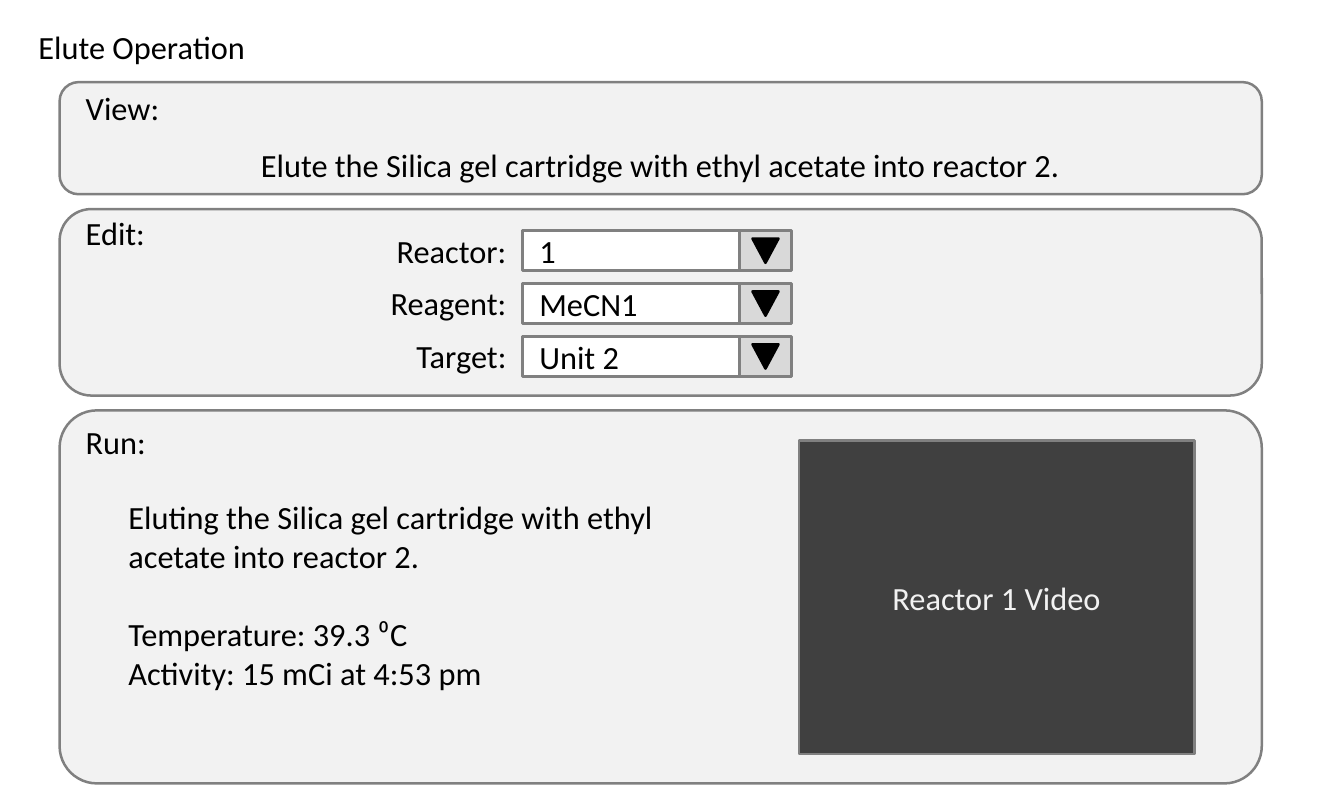
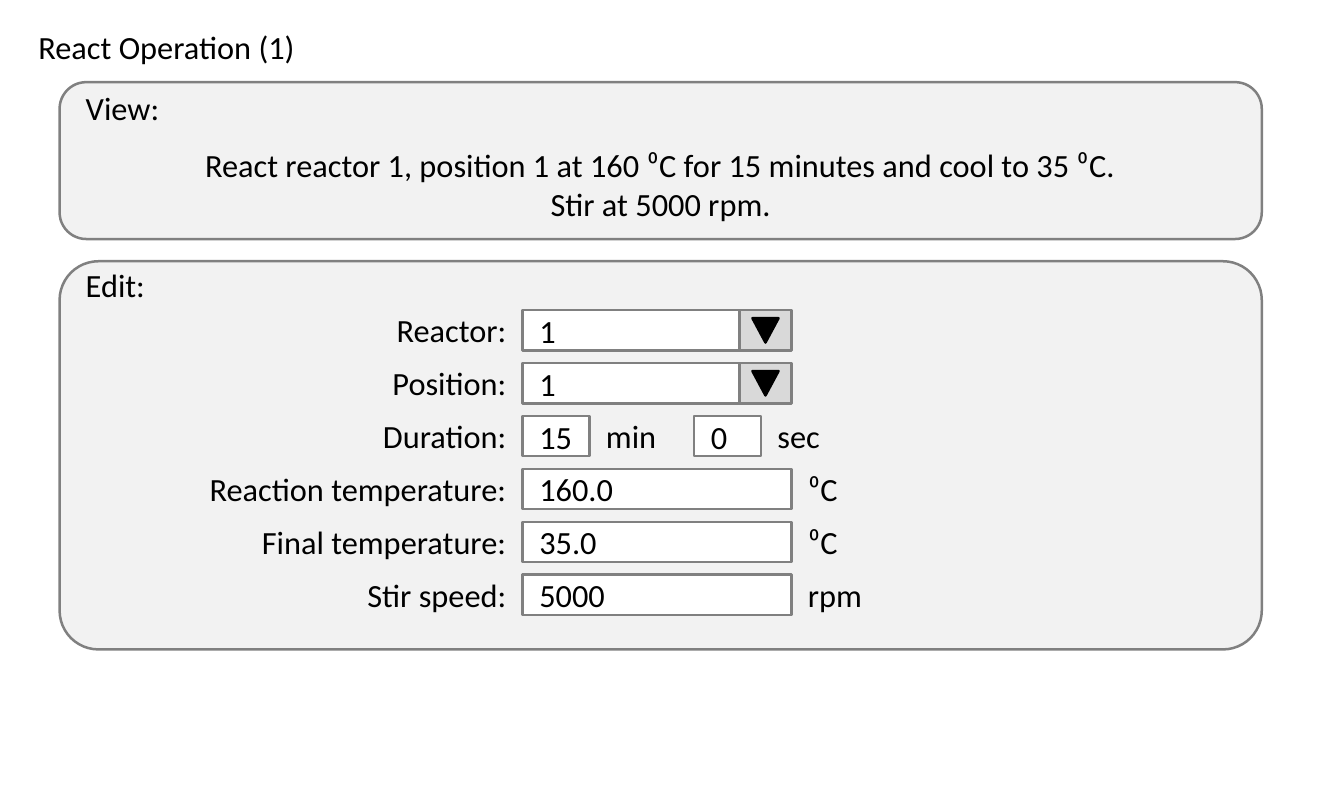
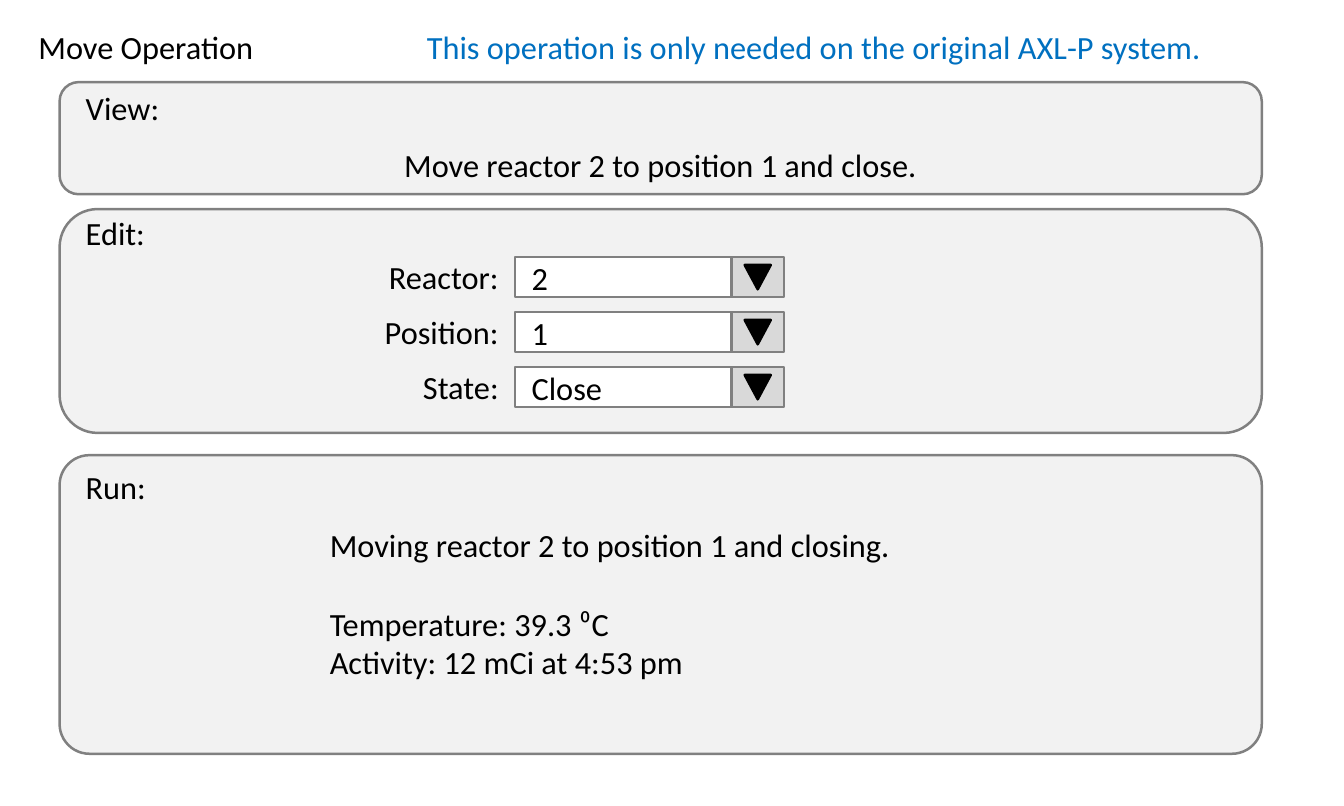
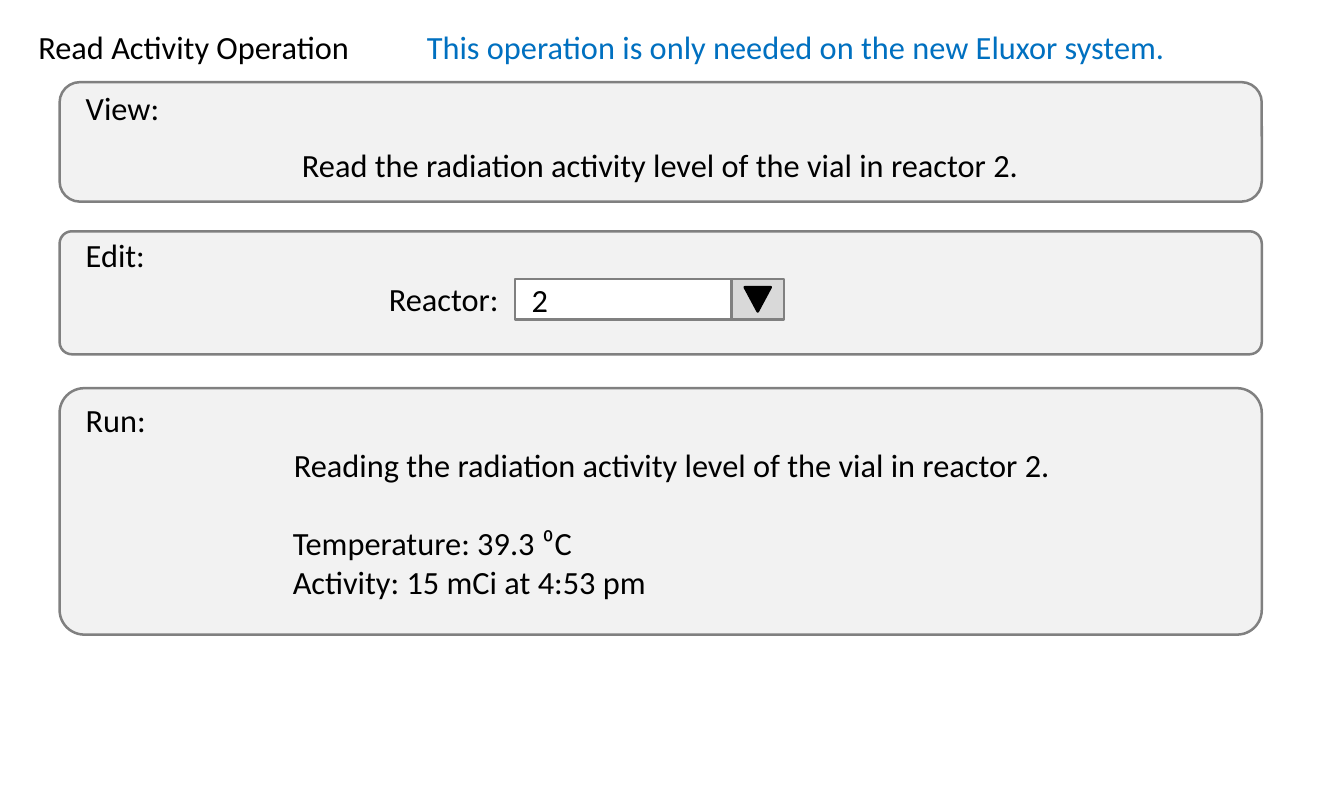
"""Build four operation screens for a reactor control program."""
from dataclasses import dataclass

from pptx import Presentation
from pptx.dml.color import RGBColor
from pptx.enum.shapes import MSO_SHAPE
from pptx.enum.text import MSO_ANCHOR, MSO_AUTO_SIZE, PP_ALIGN
from pptx.util import Cm, Pt


@dataclass(frozen=True)
class Theme:
    """Colours, type and line sizes shared by all screens."""

    font: str = "Calibri"
    size: float = 26
    small_gap: float = 14.6
    line_gap: float = 31.7
    border: float = 2
    ink: str = "000000"
    note: str = "0070C0"
    panel: str = "F2F2F2"
    edge: str = "808080"
    field: str = "FFFFFF"
    button: str = "D9D9D9"
    video: str = "404040"


@dataclass(frozen=True)
class Line:
    """One paragraph with its alignment and space before."""

    text: str
    align: PP_ALIGN = PP_ALIGN.LEFT
    before: float = 0


T = Theme()
LEFT, CENTER, RIGHT = PP_ALIGN.LEFT, PP_ALIGN.CENTER, PP_ALIGN.RIGHT
PANEL_X, PANEL_W, VIEW_Y = 1.69, 34.08, 2.33
TEXT_X, TEXT_W, TEXT_H = 2.18, 33.1, 1.37
FIELD_W, FIELD_H, BUTTON_W = 7.62, 1.14, 1.48
ARROW_W, ARROW_H = 0.74, 0.69
SHORT_W = 1.9
LABEL_W = 10.37
GAP = 0.21
PITCH = 1.5


def write(tf, lines, color):
    """Fill a text frame with lines in the shared type style."""
    for i, line in enumerate(lines):
        p = tf.paragraphs[0] if i == 0 else tf.add_paragraph()
        p.text = line.text
        p.alignment = line.align
        p.space_before = Pt(line.before)
        for r in p.runs:
            r.font.name = T.font
            r.font.size = Pt(T.size)
            r.font.color.rgb = RGBColor.from_string(color)


def text(s, x, y, w, *lines, color=T.ink):
    """Add a wrapping text box that grows with its lines."""
    sp = s.shapes.add_textbox(Cm(x), Cm(y), Cm(w), Cm(TEXT_H * len(lines)))
    tf = sp.text_frame
    tf.word_wrap = True
    tf.auto_size = MSO_AUTO_SIZE.SHAPE_TO_FIT_TEXT
    write(tf, lines, color)


def shape(s, kind, x, y, w, h, fill, edge=T.edge):
    """Add a flat preset shape with fill and border."""
    sp = s.shapes.add_shape(kind, Cm(x), Cm(y), Cm(w), Cm(h))
    sp.shadow.inherit = False
    sp.fill.solid()
    sp.fill.fore_color.rgb = RGBColor.from_string(fill)
    sp.line.color.rgb = RGBColor.from_string(edge)
    sp.line.width = Pt(T.border)
    return sp


def panel(s, y, h, corner=0.17):
    """Add a rounded full-width panel."""
    sp = shape(s, MSO_SHAPE.ROUNDED_RECTANGLE, PANEL_X, y, PANEL_W, h, T.panel)
    sp.adjustments[0] = corner


def view_panel(s, h, first, *more):
    """Add the View panel with its centred summary."""
    panel(s, VIEW_Y, h)
    summary = [Line(first, CENTER, T.small_gap)]
    summary += [Line(m, CENTER) for m in more]
    text(s, TEXT_X, VIEW_Y + 0.06, TEXT_W, Line("View:"), *summary)


def edit_panel(s, y, h, corner=0.17):
    """Add the Edit panel and its heading."""
    panel(s, y, h, corner)
    text(s, TEXT_X, y, TEXT_W, Line("Edit:"))


def run_panel(s, y, h):
    """Add the Run panel and its heading."""
    panel(s, y, h, 0.1)
    text(s, TEXT_X, y + GAP, TEXT_W, Line("Run:"))


def status(s, x, y, w, message, activity, align=LEFT):
    """Add the running message with its readings."""
    text(s, x, y, w, Line(message, align),
         Line("Temperature: 39.3 ⁰C", before=T.line_gap),
         Line(f"Activity: {activity} mCi at 4:53 pm"))


def label(s, x, y, name):
    """Add a right-aligned label before the field at x, y."""
    text(s, x - GAP - LABEL_W, y - 0.12, LABEL_W, Line(name, RIGHT))


def entry(s, x, y, w, value, unit=""):
    """Add an input field with its value and unit."""
    sp = shape(s, MSO_SHAPE.RECTANGLE, x, y, w, FIELD_H, T.field)
    tf = sp.text_frame
    tf.word_wrap = False
    tf.vertical_anchor = MSO_ANCHOR.MIDDLE
    tf.margin_left = Cm(0.47)
    tf.margin_right = tf.margin_top = tf.margin_bottom = Cm(0)
    write(tf, [Line(value)], T.ink)
    if unit:
        text(s, x + w + GAP, y - 0.12, 2.33, Line(unit))


def dropdowns(s, x, y, choices, pitch=PITCH):
    """Add a column of labelled drop-down fields."""
    box_w = FIELD_W - BUTTON_W
    for i, (name, value) in enumerate(choices):
        top = y + i * pitch
        label(s, x, top, name)
        entry(s, x, top, box_w, value)
        shape(s, MSO_SHAPE.RECTANGLE, x + box_w, top, BUTTON_W, FIELD_H, T.button)
        arrow = shape(s, MSO_SHAPE.ISOSCELES_TRIANGLE,
                      x + box_w + (BUTTON_W - ARROW_W) / 2,
                      top + (FIELD_H - ARROW_H) / 2,
                      ARROW_W, ARROW_H, T.ink, T.ink)
        arrow.rotation = 180


def screen(prs, title, note=""):
    """Add a blank slide with a title and an optional note."""
    s = prs.slides.add_slide(prs.slide_layouts[6])
    text(s, 0.84, 0.64, 20.32, Line(title))
    if note:
        text(s, 11.85, 0.64, 23.42, Line(note), color=T.note)
    return s


def elute(prs):
    """Build the elute screen."""
    s = screen(prs, "Elute Operation")
    view_panel(s, 3.18, "Elute the Silica gel cartridge with ethyl acetate into reactor 2.")
    edit_panel(s, 5.93, 5.29)
    dropdowns(s, 14.82, 6.54,
              [("Reactor:", "1"), ("Reagent:", "MeCN1"), ("Target:", "Unit 2")])
    run_panel(s, 11.64, 10.58)
    video = shape(s, MSO_SHAPE.RECTANGLE, 22.65, 12.5, 11.21, 8.89, T.video)
    video.text_frame.vertical_anchor = MSO_ANCHOR.MIDDLE
    write(video.text_frame, [Line("Reactor 1 Video", CENTER)], T.panel)
    status(s, 3.39, 13.97, 16.99,
           "Eluting the Silica gel cartridge with ethyl acetate into reactor 2.", 15)


def react(prs):
    """Build the react screen."""
    x, y = 14.82, 8.8
    s = screen(prs, "React Operation (1)")
    view_panel(s, 4.45,
               "React reactor 1, position 1 at 160 ⁰C for 15 minutes and cool to 35 ⁰C.",
               "Stir at 5000 rpm.")
    edit_panel(s, 7.41, 11.01, 0.1)
    dropdowns(s, x, y, [("Reactor:", "1"), ("Position:", "1")])
    duration_y = y + 2 * PITCH
    label(s, x, duration_y, "Duration:")
    entry(s, x, duration_y, SHORT_W, "15", "min")
    entry(s, 19.68, duration_y, SHORT_W, "0", "sec")
    entries = [("Reaction temperature:", "160.0", "⁰C"),
               ("Final temperature:", "35.0", "⁰C"),
               ("Stir speed:", "5000", "rpm")]
    for i, (name, value, unit) in enumerate(entries, 3):
        label(s, x, y + i * PITCH, name)
        entry(s, x, y + i * PITCH, FIELD_W, value, unit)


def move(prs):
    """Build the move screen."""
    s = screen(prs, "Move Operation",
               "This operation is only needed on the original AXL-P system.")
    view_panel(s, 3.18, "Move reactor 2 to position 1 and close.")
    edit_panel(s, 5.93, 6.35)
    dropdowns(s, 14.6, 7.29,
              [("Reactor:", "2"), ("Position:", "1"), ("State:", "Close")], 1.56)
    run_panel(s, 12.91, 8.47)
    status(s, 9.1, 14.78, 19.3, "Moving reactor 2 to position 1 and closing.", 12)


def read_activity(prs):
    """Build the read activity screen."""
    s = screen(prs, "Read Activity Operation",
               "This operation is only needed on the new Eluxor system.")
    view_panel(s, 3.39, "Read the radiation activity level of the vial in reactor 2.")
    edit_panel(s, 6.56, 3.49, 0.1)
    dropdowns(s, 14.6, 7.92, [("Reactor:", "2")])
    run_panel(s, 11.01, 6.99)
    status(s, 8.05, 12.5, 22.02,
           "Reading the radiation activity level of the vial in reactor 2.", 15, CENTER)


def main():
    """Build and save the four screens."""
    prs = Presentation()
    prs.slide_width, prs.slide_height = Cm(38.1), Cm(22.86)
    for build in (elute, react, move, read_activity):
        build(prs)
    prs.save("out.pptx")


main()
